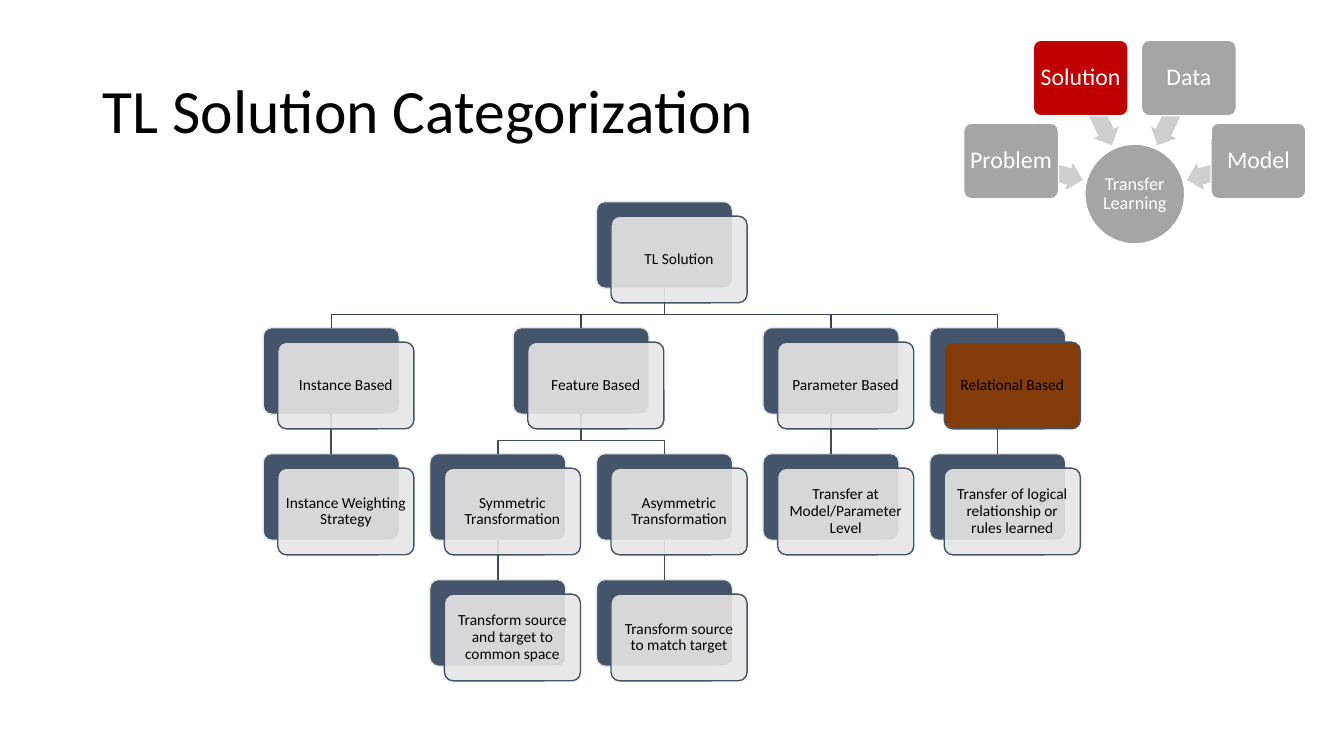
from dataclasses import dataclass
from math import cos, radians, sin

from lxml import etree
from pptx import Presentation
from pptx.dml.color import RGBColor
from pptx.enum.shapes import MSO_CONNECTOR, MSO_SHAPE
from pptx.enum.text import MSO_ANCHOR, MSO_AUTO_SIZE, PP_ALIGN
from pptx.oxml.ns import qn
from pptx.util import Inches, Pt

ROUNDED, OVAL, LEFT_ARROW = MSO_SHAPE.ROUNDED_RECTANGLE, MSO_SHAPE.OVAL, MSO_SHAPE.LEFT_ARROW
STRAIGHT = MSO_CONNECTOR.STRAIGHT
MIDDLE, CENTER, LEFT = MSO_ANCHOR.MIDDLE, PP_ALIGN.CENTER, PP_ALIGN.LEFT
NO_AUTOFIT = MSO_AUTO_SIZE.NONE
TOP_SITE, BOTTOM_SITE = 0, 2
TITLE_ONLY = 5


@dataclass(frozen=True)
class Theme:
    font: str = "Calibri"
    title_size: int = 44
    card_size: int = 11
    hub_size: int = 13
    spoke_size: int = 17
    black: str = "000000"
    white: str = "FFFFFF"
    navy: str = "44546A"
    pale: str = "E7E6E6"
    brown: str = "843C0B"
    red: str = "C00000"
    gray: str = "A5A5A5"
    arrow: str = "CFCFCF"
    top_link: str = "364355"
    lower_link: str = "3E4C60"


THEME = Theme()

CARD_WIDTH, CARD_HEIGHT = 1.35, 0.86
TREE_LEFT, TREE_TOP = 2.61, 2
COLUMN_STEP, ROW_STEP = 1.6525, 1.25
FRONT_OFFSET = 0.145
ELBOW_DROP = 0.26

# key: (label, column, row, parent key)
TREE = {
    "root": ("TL Solution", 2, 0, None),
    "instance": ("Instance Based", 0, 1, "root"),
    "weighting": ("Instance Weighting Strategy", 0, 2, "instance"),
    "feature": ("Feature Based", 1.5, 1, "root"),
    "symmetric": ("Symmetric Transformation", 1, 2, "feature"),
    "common": ("Transform source and target to common space", 1, 3, "symmetric"),
    "asymmetric": ("Asymmetric Transformation", 2, 2, "feature"),
    "match": ("Transform source to match target", 2, 3, "asymmetric"),
    "parameter": ("Parameter Based", 3, 1, "root"),
    "level": ("Transfer at Model/Parameter Level", 3, 2, "parameter"),
    "relational": ("Relational Based", 4, 1, "root"),
    "logical": ("Transfer of logical relationship or rules learned", 4, 2, "relational"),
}
HIGHLIGHTED_CARD = "relational"

HUB_X, HUB_Y, HUB_SIZE = 11.255, 1.925, 0.99
SPOKE_WIDTH, SPOKE_HEIGHT, SPOKE_RADIUS = 0.94, 0.75, 1.27
ARROW_WIDTH, ARROW_HEIGHT, ARROW_RADIUS = 0.73, 0.28, 0.9
SPOKES = [("Problem", 195), ("Solution", 245), ("Data", 295), ("Model", 345)]
HIGHLIGHTED_SPOKE = "Solution"


def color(code):
    return RGBColor.from_string(code)


def style_text(frame, text, size, text_color, align=CENTER):
    frame.text = text
    frame.word_wrap = True
    frame.auto_size = NO_AUTOFIT
    frame.vertical_anchor = MIDDLE
    para = frame.paragraphs[0]
    para.alignment = align
    para.line_spacing = 0.9
    para.font.name = THEME.font
    para.font.size = Pt(size)
    para.font.color.rgb = color(text_color)


def add_block(page, kind, left, top, width, height, fill, line=None):
    block = page.shapes.add_shape(kind, Inches(left), Inches(top), Inches(width), Inches(height))
    block.shadow.inherit = False
    block.fill.solid()
    block.fill.fore_color.rgb = color(fill)
    if line:
        block.line.color.rgb = color(line)
        block.line.width = Pt(1)
    else:
        block.line.fill.background()
    if kind == ROUNDED:
        block.adjustments[0] = 0.1
    return block


def label_block(block, text, size, text_color, margin):
    frame = block.text_frame
    frame.margin_left = frame.margin_right = Inches(margin)
    frame.margin_top = frame.margin_bottom = Inches(margin)
    style_text(frame, text, size, text_color)


def set_opacity(shape, percent):
    fill_color = shape._element.spPr.find(qn("a:solidFill"))[0]
    etree.SubElement(fill_color, qn("a:alpha")).set("val", str(percent * 1000))


def add_link(page, parent, child, line_color):
    """Join two cards, with a bend when they are not in the same column."""
    start_x, end_x = (card.left + card.width // 2 for card in (parent, child))
    start_y, end_y = parent.top + parent.height, child.top
    if start_x == end_x:
        link = page.shapes.add_connector(STRAIGHT, start_x, start_y, end_x, end_y)
        link.begin_connect(parent, BOTTOM_SITE)
        link.end_connect(child, TOP_SITE)
        etree.SubElement(link._element.spPr, qn("a:effectLst"))
    else:
        bend_y = start_y + Inches(ELBOW_DROP)
        builder = page.shapes.build_freeform(start_x, start_y)
        builder.add_line_segments([(start_x, bend_y), (end_x, bend_y), (end_x, end_y)], close=False)
        link = builder.convert_to_shape()
        link.fill.background()
        link.shadow.inherit = False
    link.line.color.rgb = color(line_color)
    link.line.width = Pt(1)


def add_tree(page):
    back_cards = {}
    for key, (_, column, row, _) in TREE.items():
        left, top = TREE_LEFT + column * COLUMN_STEP, TREE_TOP + row * ROW_STEP
        back_cards[key] = add_block(page, ROUNDED, left, top, CARD_WIDTH, CARD_HEIGHT,
                                    THEME.navy, THEME.pale)

    for key, (_, _, _, parent) in TREE.items():
        if parent:
            link_color = THEME.top_link if parent == "root" else THEME.lower_link
            add_link(page, back_cards[parent], back_cards[key], link_color)

    for key, (label, column, row, _) in TREE.items():
        left = TREE_LEFT + column * COLUMN_STEP + FRONT_OFFSET
        top = TREE_TOP + row * ROW_STEP + FRONT_OFFSET
        highlighted = key == HIGHLIGHTED_CARD
        front = add_block(page, ROUNDED, left, top, CARD_WIDTH, CARD_HEIGHT,
                          THEME.brown if highlighted else THEME.pale, THEME.navy)
        if not highlighted:
            set_opacity(front, 90)
        label_block(front, label, THEME.card_size, THEME.black, 0.05)


def add_around_hub(page, kind, angle, radius, width, height, fill, line=None):
    """Place a block centred at an angle and distance from the hub."""
    left = HUB_X + radius * cos(radians(angle)) - width / 2
    top = HUB_Y + radius * sin(radians(angle)) - height / 2
    return add_block(page, kind, left, top, width, height, fill, line)


def add_hub(page):
    hub = add_around_hub(page, OVAL, 0, 0, HUB_SIZE, HUB_SIZE, THEME.gray, THEME.white)
    label_block(hub, "Transfer Learning", THEME.hub_size, THEME.white, 0.01)
    for label, angle in SPOKES:
        arrow = add_around_hub(page, LEFT_ARROW, angle, ARROW_RADIUS,
                               ARROW_WIDTH, ARROW_HEIGHT, THEME.arrow)
        arrow.adjustments[0] = 0.6
        arrow.rotation = angle
        fill = THEME.red if label == HIGHLIGHTED_SPOKE else THEME.gray
        spoke = add_around_hub(page, ROUNDED, angle, SPOKE_RADIUS,
                               SPOKE_WIDTH, SPOKE_HEIGHT, fill, THEME.white)
        label_block(spoke, label, THEME.spoke_size, THEME.white, 0.04)


def add_title(page, text):
    title = page.shapes.title
    title.left, title.top = Inches(0.92), Inches(0.4)
    title.width, title.height = Inches(11.5), Inches(1.45)
    style_text(title.text_frame, text, THEME.title_size, THEME.black, LEFT)


def main():
    deck = Presentation()
    deck.slide_width, deck.slide_height = Inches(13.33), Inches(7.5)
    page = deck.slides.add_slide(deck.slide_layouts[TITLE_ONLY])
    add_title(page, "TL Solution Categorization")
    add_tree(page)
    add_hub(page)
    deck.save("out.pptx")


if __name__ == "__main__":
    main()
